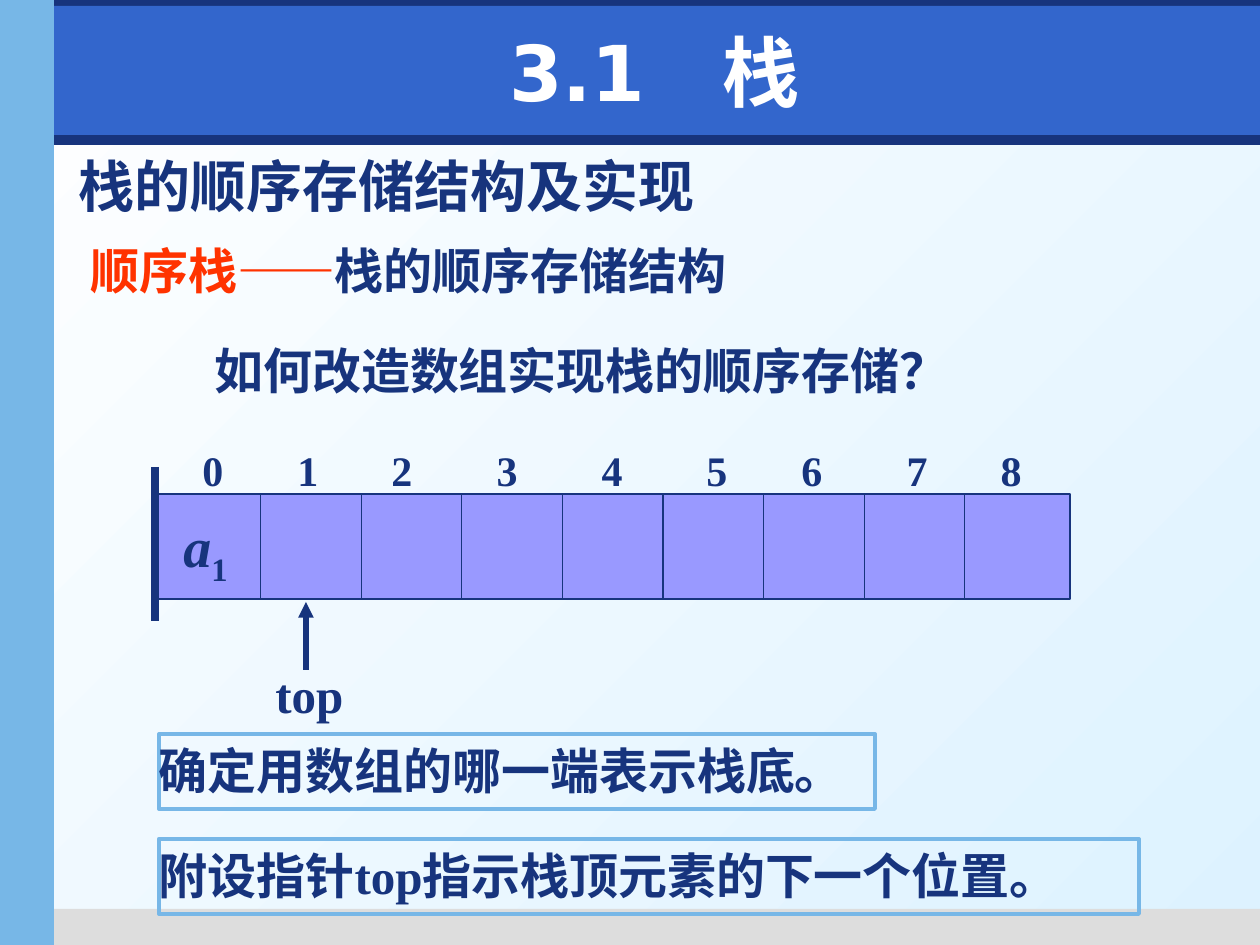
from lxml.etree import SubElement
from pptx import Presentation
from pptx.dml.color import RGBColor
from pptx.enum.shapes import MSO_CONNECTOR, MSO_SHAPE
from pptx.enum.text import MSO_ANCHOR, PP_ALIGN
from pptx.oxml.ns import qn
from pptx.util import Pt

PX = 914400 / 126
NAVY, SKY, WHITE = "17347D", "77B7E7", "FFFFFF"
color = RGBColor.from_string

deck = Presentation()
deck.slide_width, deck.slide_height = round(1260 * PX), round(945 * PX)
page = deck.slides.add_slide(deck.slide_layouts[6])
shapes = page.shapes


def add_text(area, size, *texts, font="Times New Roman"):
    """Add a text box holding one bold navy paragraph, one run per text."""
    box = shapes.add_textbox(*[round(v * PX) for v in area])
    box.text_frame.word_wrap = True
    para = box.text_frame.paragraphs[0]
    para.text = texts[0]
    for text in texts[1:]:
        para.add_run().text = text
    for span in para.runs:
        span.font.name = font
        span.font.size = Pt(size)
        span.font.bold = True
        span.font.color.rgb = color(NAVY)
    return box, para


def add_line(x, start, end, width):
    """Add a vertical navy line."""
    line = shapes.add_connector(
        MSO_CONNECTOR.STRAIGHT, *[round(v * PX) for v in (x, start, x, end)])
    line.line.color.rgb = color(NAVY)
    line.line.width = Pt(width)
    SubElement(line._element.spPr, qn("a:effectLst"))
    return line


# Background and frame
background = page.background.fill
background.gradient()
background.gradient_angle = 315
for stop, (position, shade) in zip(background.gradient_stops, [(0, WHITE), (1, "DDF2FF")]):
    stop.position = position
    stop.color.rgb = color(shade)

array_left, array_top, array_width, array_height = 158, 494, 912, 105
for area, shade in [
    ((5, 135, 1255, 10), NAVY),
    ((44, 909, 1216, 36), "DDDDDD"),
    ((0, 0, 1260, 26), NAVY),
    ((54, 6, 1206, 129), "3366CC"),
    ((0, 0, 54, 945), SKY),
    ((array_left, array_top, array_width, array_height), "9999FF"),
]:
    block = shapes.add_shape(MSO_SHAPE.RECTANGLE, *[round(v * PX) for v in area])
    block.shadow.inherit = False
    block.fill.solid()
    block.fill.fore_color.rgb = color(shade)
    block.line.fill.background()
array_bar = block
array_bar.line.color.rgb = color(NAVY)
array_bar.line.width = Pt(0.75)

# Title and headings
title, para = add_text((74, 16, 1161, 110), 44, "3.1　栈", font="DejaVu Sans")
title.text_frame.vertical_anchor = MSO_ANCHOR.MIDDLE
para.alignment = PP_ALIGN.CENTER
para.runs[0].font.color.rgb = color(WHITE)

add_text((66, 145, 809, 79), 32, "栈的顺序存储结构及实现")
definition, para = add_text((78, 234, 746, 72), 28, "顺序栈——", "栈的顺序存储结构")
para.runs[0].font.color.rgb = color("FF3300")
add_text((202, 334, 766, 72), 28, "如何改造数组实现栈的顺序存储？")

# Array: indexes on centred tab stops, then cell borders
index_centers = [213, 308, 402, 507, 612, 717, 812, 917, 1011]
labels_left = 160
labels, para = add_text((labels_left, 438, 924, 63), 24,
                        "".join(f"\t{i}" for i in range(len(index_centers))))
labels.text_frame.margin_left = 0
tabs = SubElement(para._p.get_or_add_pPr(), qn("a:tabLst"))
for center in index_centers:
    SubElement(tabs, qn("a:tab"), pos=str(round((center - labels_left) * PX)), algn="ctr")

for i in range(1, len(index_centers)):
    add_line(160 + 100.6 * i, array_top, array_top + array_height, 0.75)
add_line(155, 467, 621, 4.5)

element, para = add_text((171, 505, 84, 79), 32, "a", "1")
para.runs[0].font.italic = True
para.runs[1].font._element.set("baseline", "-25000")

# Top pointer
arrow = add_line(306, 670, 602, 3)
SubElement(arrow.line._get_or_add_ln(), qn("a:tailEnd"), type="triangle")
add_text((263, 658, 100, 72), 28, "top")

# Framed conclusions
for top, width, text in [
    (734, 716, "确定用数组的哪一端表示栈底。"),
    (839, 980, "附设指针top指示栈顶元素的下一个位置。"),
]:
    frame, para = add_text((159, top, width, 75), 28, text)
    frame.text_frame.margin_left = frame.text_frame.margin_right = 0
    frame.line.color.rgb = color(SKY)
    frame.line.width = Pt(2.25)

deck.save("out.pptx")
